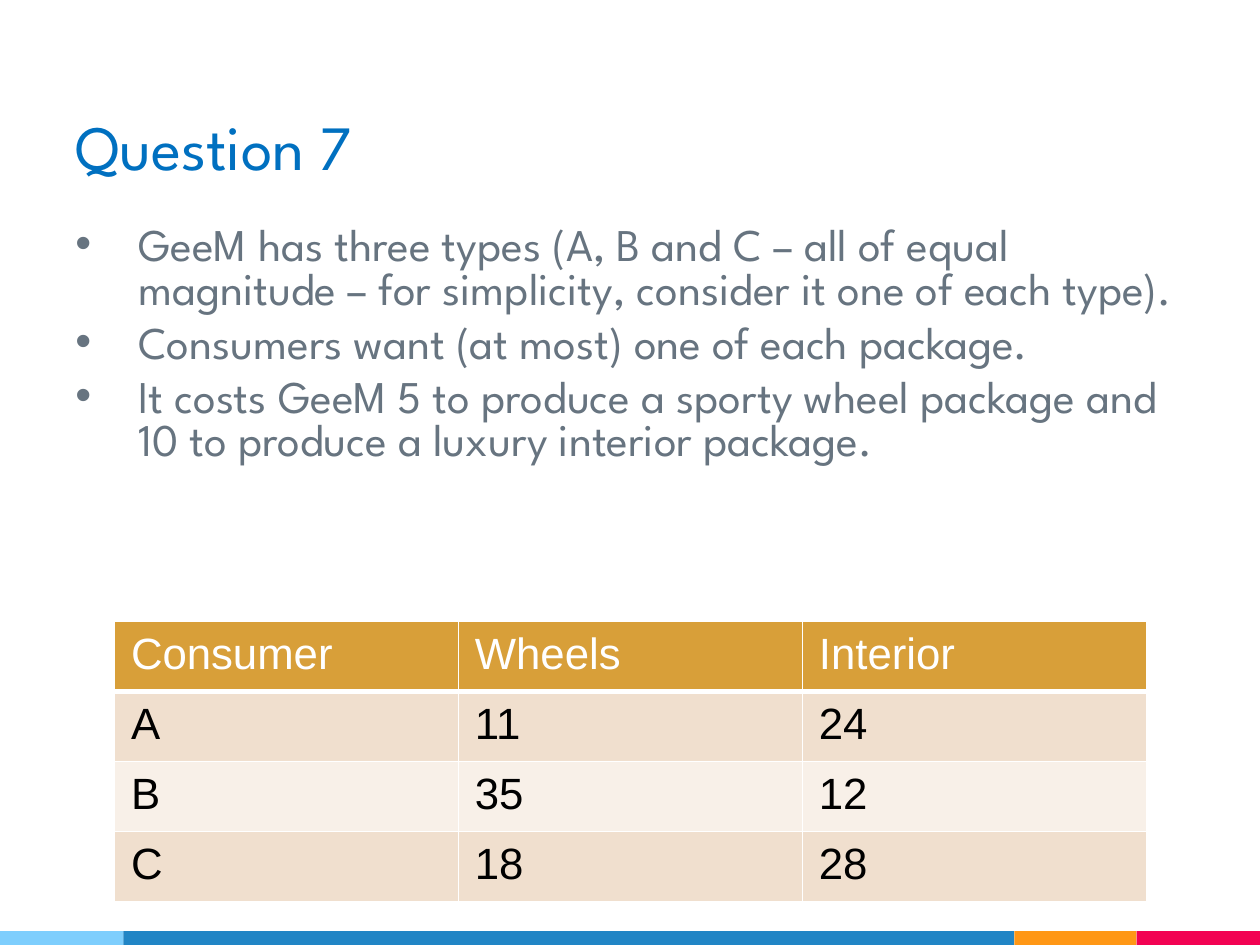
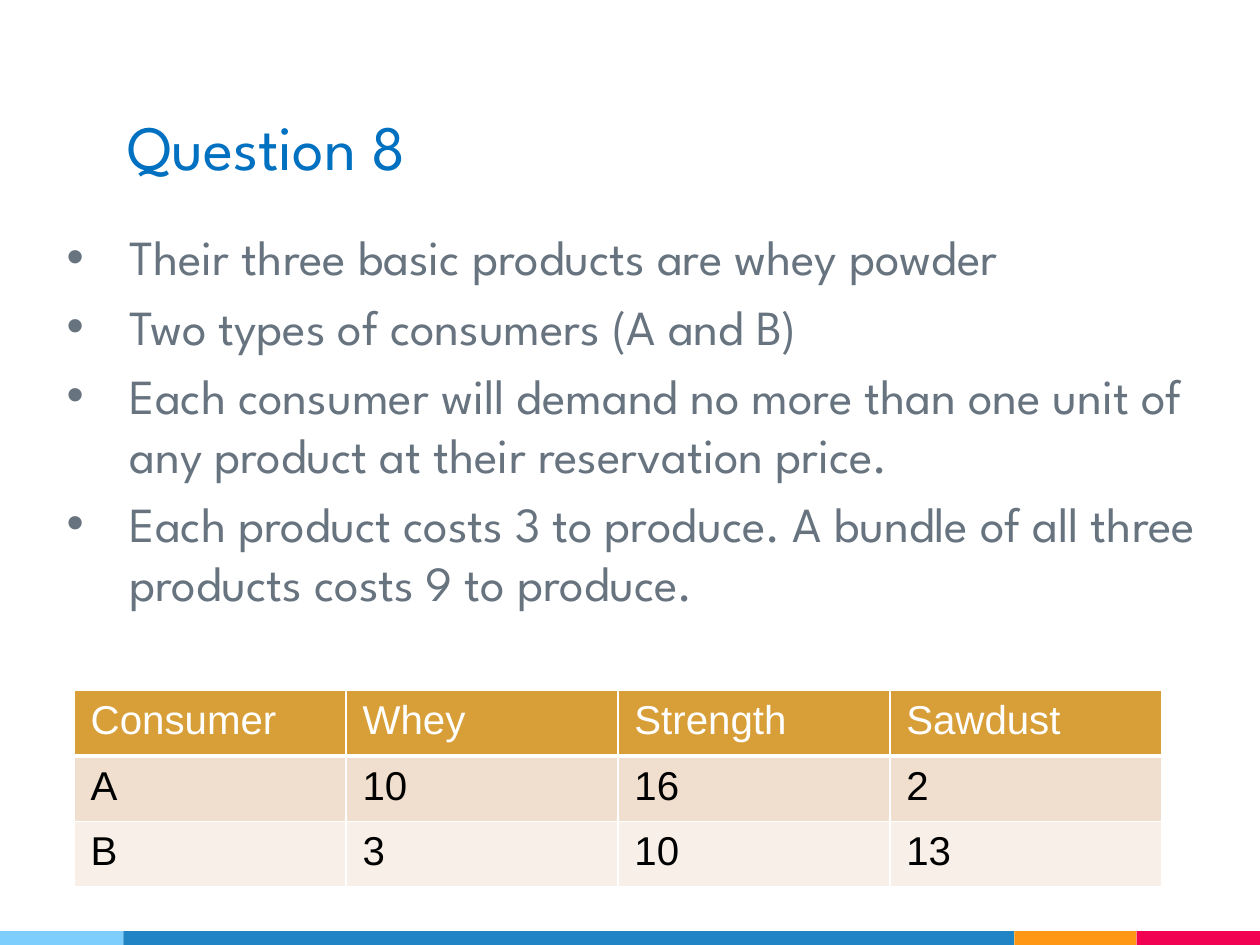
from pptx import Presentation
from pptx.dml.color import RGBColor
from pptx.enum.shapes import MSO_SHAPE
from pptx.enum.text import MSO_ANCHOR
from pptx.oxml.ns import qn
from pptx.util import Inches, Pt
from lxml.etree import SubElement

FONT, CELL_FONT = "League Spartan", "Arial"
BLUE, GREY, WHITE, BLACK = "0070C0", "677480", "FFFFFF", "000000"
HEAD, BANDS = "D89F39", ("F0DFCE", "F8F0E8")
STRIPE = [("7ECEFD", 0.98), ("2185C5", 7.07), ("FF9715", 0.97), ("F20253", 0.98)]


def color(code):
    """Turn a hex string into a colour."""
    return RGBColor.from_string(code)


def style(para, font, size, code):
    """Format every run of a paragraph."""
    for run in para.runs:
        run.font.name = font
        run.font.size = Pt(size)
        run.font.color.rgb = color(code)


def add_stripe(slide):
    """Draw the coloured strip along the foot of the slide."""
    left = 0
    for code, width in STRIPE:
        bar = slide.shapes.add_shape(
            MSO_SHAPE.RECTANGLE, Inches(left), Inches(7.39), Inches(width), Inches(0.11))
        bar.shadow.inherit = False
        bar.fill.solid()
        bar.fill.fore_color.rgb = color(code)
        bar.line.fill.background()
        left += width


def add_box(slide, left, top, width, height):
    """Add a wrapping text box with even margins and return its frame."""
    box = slide.shapes.add_textbox(
        Inches(left), Inches(top), Inches(width), Inches(height))
    frame = box.text_frame
    frame.word_wrap = True
    frame.margin_left = frame.margin_right = Inches(0.1)
    frame.margin_top = frame.margin_bottom = Inches(0.1)
    return frame


def add_title(slide, text, left):
    """Add the title, which ends at the same right edge on each slide."""
    frame = add_box(slide, left, 0.3, 9.5 - left, 1.25)
    frame.vertical_anchor = MSO_ANCHOR.BOTTOM
    frame.text = text
    style(frame.paragraphs[0], FONT, 36, BLUE)


def add_bullet(para):
    """Give a paragraph a hanging grey bullet."""
    props = para._p.get_or_add_pPr()
    props.set("marL", str(Inches(0.5)))
    props.set("indent", str(-Inches(0.5)))
    tint = SubElement(props, qn("a:buClr"))
    SubElement(tint, qn("a:srgbClr"), val=GREY)
    SubElement(props, qn("a:buFont"), typeface=CELL_FONT)
    SubElement(props, qn("a:buChar"), char="•")


def add_list(slide, items, place, size, spacing=None):
    """Add the bulleted statements of a question."""
    frame = add_box(slide, *place)
    frame.text = "\n".join(items)
    for para in frame.paragraphs:
        para.space_before = Pt(6)
        para.line_spacing = spacing
        add_bullet(para)
        style(para, FONT, size, GREY)


def add_border(cell, head):
    """Draw white lines round a cell, thicker below the header."""
    props = cell._tc.get_or_add_tcPr()
    for side in "LRTB":
        width = 3 if head and side == "B" else 1
        line = SubElement(props, qn("a:ln" + side), w=str(Pt(width)))
        fill = SubElement(line, qn("a:solidFill"))
        SubElement(fill, qn("a:srgbClr"), val=WHITE)


def add_grid(slide, rows, left, top, width, size, pad):
    """Add a table with a header row and banded values."""
    count = len(rows[0])
    table = slide.shapes.add_table(
        len(rows), count, Inches(left), Inches(top),
        Inches(width), Inches(0.52 * len(rows))).table
    for col in table.columns:
        col.width = Inches(width / count)
    for i, row in enumerate(rows):
        for j, text in enumerate(row):
            cell = table.cell(i, j)
            cell.text = text
            cell.margin_left = cell.margin_right = Inches(0.13)
            cell.margin_top = cell.margin_bottom = Inches(pad)
            add_border(cell, i == 0)
            cell.fill.solid()
            cell.fill.fore_color.rgb = color(BANDS[(i - 1) % 2] if i else HEAD)
            style(cell.text_frame.paragraphs[0], CELL_FONT, size, BLACK if i else WHITE)


def add_slide(deck, title, left):
    """Add a blank slide with the shared strip and a title."""
    slide = deck.slides.add_slide(deck.slide_layouts[6])
    add_stripe(slide)
    add_title(slide, title, left)
    return slide


def main():
    """Build both question slides and save the deck."""
    deck = Presentation()
    deck.slide_width, deck.slide_height = Inches(10), Inches(7.5)

    cars = add_slide(deck, "Question 7", 0.5)
    add_list(cars, [
        "GeeM has three types (A, B and C – all of equal magnitude – "
        "for simplicity, consider it one of each type).",
        "Consumers want (at most) one of each package.",
        "It costs GeeM 5 to produce a sporty wheel package and 10 to "
        "produce a luxury interior package.",
    ], (0.5, 1.7, 9, 3.23), 25.9, 0.8)
    add_grid(cars, [
        ("Consumer", "Wheels", "Interior"),
        ("A", "11", "24"),
        ("B", "35", "12"),
        ("C", "18", "28"),
    ], 0.91, 4.93, 8.19, 25, 0.07)

    whey = add_slide(deck, "Question 8", 0.91)
    add_list(whey, [
        "Their three basic products are whey powder",
        "Two types of consumers (A and B)",
        "Each consumer will demand no more than one unit of any product "
        "at their reservation price.",
        "Each product costs 3 to produce. A bundle of all three products "
        "costs 9 to produce.",
    ], (0.43, 1.7, 9.37, 6.06), 28)
    add_grid(whey, [
        ("Consumer", "Whey", "Strength", "Sawdust"),
        ("A", "10", "16", "2"),
        ("B", "3", "10", "13"),
    ], 0.59, 5.48, 8.63, 23, 0.06)

    deck.save("out.pptx")


main()
